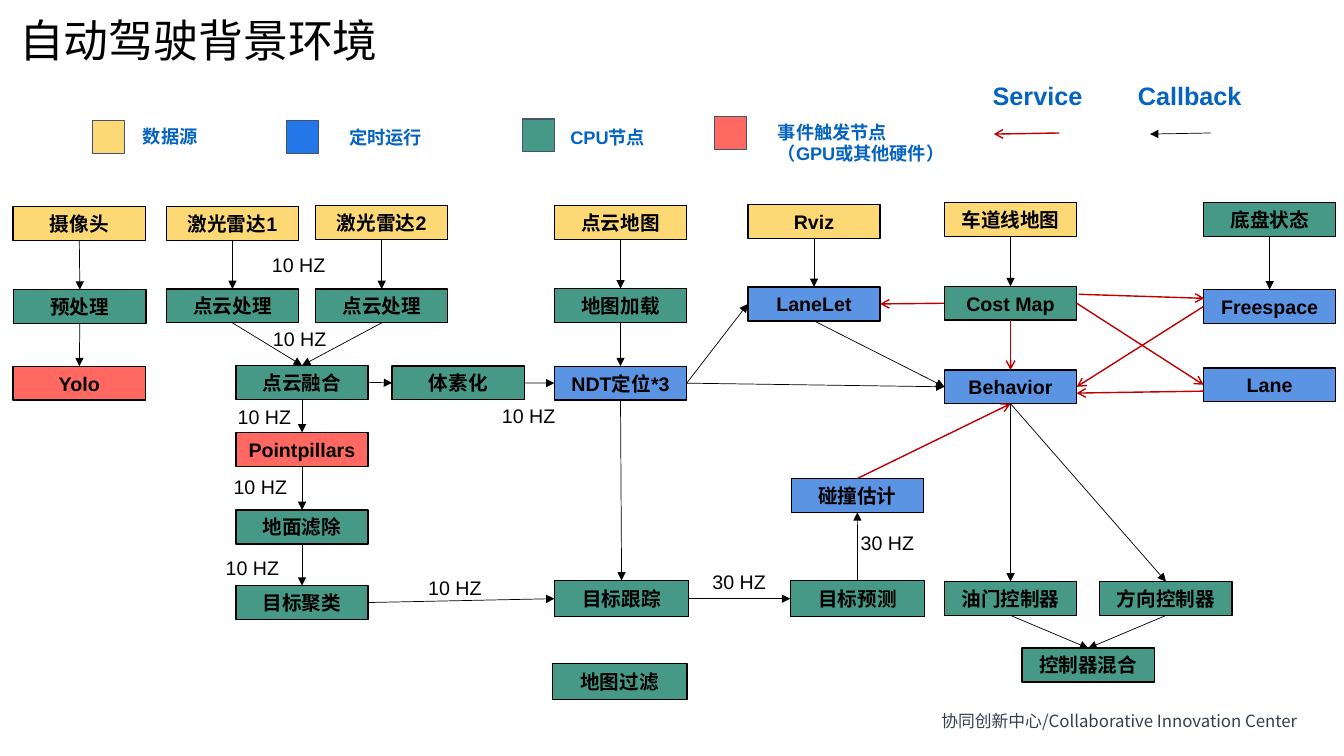
from lxml import etree
from pptx import Presentation
from pptx.dml.color import RGBColor
from pptx.enum.shapes import MSO_CONNECTOR, MSO_SHAPE
from pptx.enum.text import MSO_ANCHOR, MSO_AUTO_SIZE, PP_ALIGN
from pptx.oxml.ns import qn
from pptx.util import Pt

STRAIGHT, RECTANGLE = MSO_CONNECTOR.STRAIGHT, MSO_SHAPE.RECTANGLE
MIDDLE, TOP, NO_FIT = MSO_ANCHOR.MIDDLE, MSO_ANCHOR.TOP, MSO_AUTO_SIZE.NONE
LEFT_ALIGN, CENTER = PP_ALIGN.LEFT, PP_ALIGN.CENTER

SOURCE, TIMED, CPU, GPU = "FCD975", "5C94E4", "469986", "FF6961"
TIMED_KEY, KEY_EDGE, KEY_TEXT = "2576E8", "44546A", "0563C1"
BLACK, RED, FOOTER_GREY = "000000", "C00000", "333F50"
CALLBACK = (BLACK, 0.5, "triangle")
SERVICE = (RED, 1, "arrow")
NODE, WIDE_NODE = (94.5, 24.2), (96, 25.9)
SITES = {"top": 0, "left": 1, "bottom": 2, "right": 3}

KEYS = [
    (0, 32.4, SOURCE, 28.8, 31.7, 66, ["数据源"]),
    (138.3, 32.4, TIMED_KEY, 176.4, 32.4, 74, ["定时运行"]),
    (306.8, 31, CPU, 334.1, 32.4, 68.4, ["CPU节点"]),
    (444.3, 29.5, GPU, 482.4, 28.8, 134.6, ["事件触发节点", "（GPU或其他硬件）"]),
]
ARROW_KEYS = [
    ("Service", 635.8, 79.2, 690.5, 643.7, SERVICE),
    ("Callback", 739.5, 89.3, 798.5, 755.3, CALLBACK),
]
NODES = {
    "camera": ("摄像头", SOURCE, 0, 3, NODE),
    "preprocess": ("预处理", CPU, 0.4, 62.3, NODE),
    "yolo": ("Yolo", GPU, 0, 117, NODE),
    "lidar1": ("激光雷达1", SOURCE, 109.4, 3, NODE),
    "lidar2": ("激光雷达2", SOURCE, 216, 2.3, NODE),
    "cloud1": ("点云处理", CPU, 109.4, 61.8, NODE),
    "cloud2": ("点云处理", CPU, 216, 61.8, NODE),
    "fusion": ("点云融合", CPU, 159.1, 116.4, NODE),
    "pillars": ("Pointpillars", GPU, 159.1, 164.3, NODE),
    "ground": ("地面滤除", CPU, 159.1, 219.7, NODE),
    "cluster": ("目标聚类", CPU, 159.1, 273.7, NODE),
    "voxel": ("体素化", CPU, 270.7, 116.8, NODE),
    "cloud_map": ("点云地图", SOURCE, 386.6, 2.3, NODE),
    "map_load": ("地图加载", CPU, 386.6, 61.5, NODE),
    "ndt": ("NDT定位*3", TIMED, 386.6, 117, NODE),
    "tracking": ("目标跟踪", CPU, 386.6, 270.1, WIDE_NODE),
    "map_filter": ("地图过滤", CPU, 385.2, 329.2, WIDE_NODE),
    "rviz": ("Rviz", SOURCE, 524.8, 1.6, NODE),
    "lanelet": ("LaneLet", TIMED, 524.8, 60.4, NODE),
    "collision": ("碰撞估计", TIMED, 555.8, 197.2, NODE),
    "prediction": ("目标预测", CPU, 555.1, 270.1, WIDE_NODE),
    "lane_map": ("车道线地图", SOURCE, 665.2, 0.2, NODE),
    "cost_map": ("Cost Map", CPU, 665.2, 59.9, NODE),
    "behavior": ("Behavior", TIMED, 665.2, 119.6, NODE),
    "throttle": ("油门控制器", CPU, 665.2, 270.8, NODE),
    "steering": ("方向控制器", CPU, 776.2, 270.8, NODE),
    "mixer": ("控制器混合", CPU, 720.7, 318.4, NODE),
    "chassis": ("底盘状态", CPU, 850.3, 0.2, NODE),
    "freespace": ("Freespace", TIMED, 850.3, 62.2, NODE),
    "lane": ("Lane", TIMED, 850.3, 118.2, NODE),
}
DOWNWARD = [
    ("camera", "preprocess", "yolo"), ("lidar1", "cloud1", "fusion"),
    ("lidar2", "cloud2", "fusion", "pillars", "ground", "cluster"),
    ("cloud_map", "map_load", "ndt", "tracking"), ("rviz", "lanelet"),
    ("lane_map", "cost_map"), ("chassis", "freespace"),
    ("behavior", "throttle", "mixer"), ("behavior", "steering", "mixer"),
]
RIGHTWARD = [
    ("fusion", "voxel", "ndt", "behavior"), ("ndt", "lanelet"),
    ("cluster", "tracking", "prediction"),
]
OTHER_LINKS = [
    ("prediction", "top", "collision", "bottom", CALLBACK),
    ("lanelet", "bottom", "behavior", "left", CALLBACK),
    ("collision", "top", "behavior", "bottom", SERVICE),
    ("cost_map", "bottom", "behavior", "top", SERVICE),
    ("cost_map", "left", "lanelet", "right", SERVICE),
    ("cost_map", "right", "lane", "left", SERVICE),
    ("freespace", "left", "behavior", "right", SERVICE),
]
FREE_ARROWS = [(761, 65.6, 850.8, 68.5), (850.3, 134.8, 759.7, 136.2)]
RATES = [
    ("10 HZ", 177.8, 32.5), ("10 HZ", 178.5, 85.1), ("10 HZ", 153.3, 141.2),
    ("10 HZ", 150.4, 190.8), ("10 HZ", 144.7, 249.2), ("10 HZ", 289.4, 262.9),
    ("10 HZ", 342, 140.5), ("30 HZ", 492.4, 259.2), ("30 HZ", 598.3, 231.2),
]


def colour(value):
    """Return the colour for a hex string."""
    return RGBColor.from_string(value)


def write(frame, lines, size, ink, bold=False, align=LEFT_ALIGN, font="Arial"):
    """Fill a text frame with one run per line."""
    for index, line in enumerate(lines):
        paragraph = frame.add_paragraph() if index else frame.paragraphs[0]
        paragraph.alignment = align
        run = paragraph.add_run()
        run.text = line
        run.font.name, run.font.size, run.font.bold = font, Pt(size), bold
        run.font.color.rgb = colour(ink)


def add_label(slide, box, lines, size, ink, wrap=False, **style):
    """Add a text box."""
    frame = slide.shapes.add_textbox(*map(Pt, box)).text_frame
    frame.word_wrap, frame.vertical_anchor = wrap, TOP
    write(frame, lines, size, ink, **style)


def add_block(slide, box, fill, edge, weight):
    """Add a filled and outlined rectangle."""
    block = slide.shapes.add_shape(RECTANGLE, *map(Pt, box))
    block.shadow.inherit = False
    block.fill.solid()
    block.fill.fore_color.rgb = colour(fill)
    block.line.color.rgb = colour(edge)
    block.line.width = Pt(weight)
    return block


def add_arrow(slide, ends, kind):
    """Add a straight arrow of the service or callback kind."""
    ink, weight, head = kind
    arrow = slide.shapes.add_connector(STRAIGHT, *map(Pt, ends))
    arrow.line.color.rgb = colour(ink)
    arrow.line.width = Pt(weight)
    properties = arrow.element.spPr
    etree.SubElement(properties.find(qn("a:ln")), qn("a:tailEnd"), type=head)
    etree.SubElement(properties, qn("a:effectLst"))
    return arrow


def add_title(slide, box):
    """Place the title placeholder."""
    title = slide.shapes.title
    title.left, title.top, title.width, title.height = map(Pt, box)
    title.text_frame.auto_size = NO_FIT
    title.text_frame.vertical_anchor = MIDDLE
    write(title.text_frame, ["自动驾驶背景环境"], 32, BLACK)


def add_legend(slide, box):
    """Explain the node colours and the arrow kinds."""
    left, top = box
    for x, y, fill, text_x, text_y, width, lines in KEYS:
        add_block(slide, (left + x, top + y, 23, 23), fill, KEY_EDGE, 0.75)
        add_label(slide, (left + text_x, top + text_y, width, 23), lines, 13,
                  KEY_TEXT, wrap=True, bold=True)
    for name, x, width, start, end, kind in ARROW_KEYS:
        add_label(slide, (left + x, top, width, 28.8), [name], 18, KEY_TEXT, bold=True)
        add_arrow(slide, (left + start, top + 41, left + end, top + 41.8), kind)


def add_flow(slide, box):
    """Draw the processing nodes, their links and their rates."""
    left, top = box
    blocks = {}
    for key, (name, fill, x, y, size) in NODES.items():
        blocks[key] = add_block(slide, (left + x, top + y, *size), fill, BLACK, 1)
        write(blocks[key].text_frame, [name], 14, BLACK, bold=True, align=CENTER)
    links = list(OTHER_LINKS)
    for chains, exit_side, entry_side in ((DOWNWARD, "bottom", "top"),
                                          (RIGHTWARD, "right", "left")):
        for chain in chains:
            links += [(source, exit_side, target, entry_side, CALLBACK)
                      for source, target in zip(chain, chain[1:])]
    for source, exit_side, target, entry_side, kind in dict.fromkeys(links):
        arrow = add_arrow(slide, (0, 0, 0, 0), kind)
        arrow.begin_connect(blocks[source], SITES[exit_side])
        arrow.end_connect(blocks[target], SITES[entry_side])
    for x1, y1, x2, y2 in FREE_ARROWS:
        add_arrow(slide, (left + x1, top + y1, left + x2, top + y2), SERVICE)
    for rate, x, y in RATES:
        add_label(slide, (left + x, top + y, 52.6, 24.2), [rate], 14, BLACK)


def add_footer(slide, box):
    """Name the organisation at the foot of the slide."""
    add_label(slide, box, ["协同创新中心/Collaborative Innovation Center"], 12,
              FOOTER_GREY, font="Noto Sans CJK SC")


def main():
    """Build and save the slide."""
    deck = Presentation()
    deck.slide_width, deck.slide_height = Pt(960), Pt(540)
    slide = deck.slides.add_slide(deck.slide_layouts[5])
    add_footer(slide, (665.3, 504, 276.5, 21.6))
    add_title(slide, (6.5, 5, 448.6, 46))
    add_legend(slide, (66.2, 54))
    add_flow(slide, (9.4, 144.6))
    deck.save("out.pptx")


if __name__ == "__main__":
    main()
